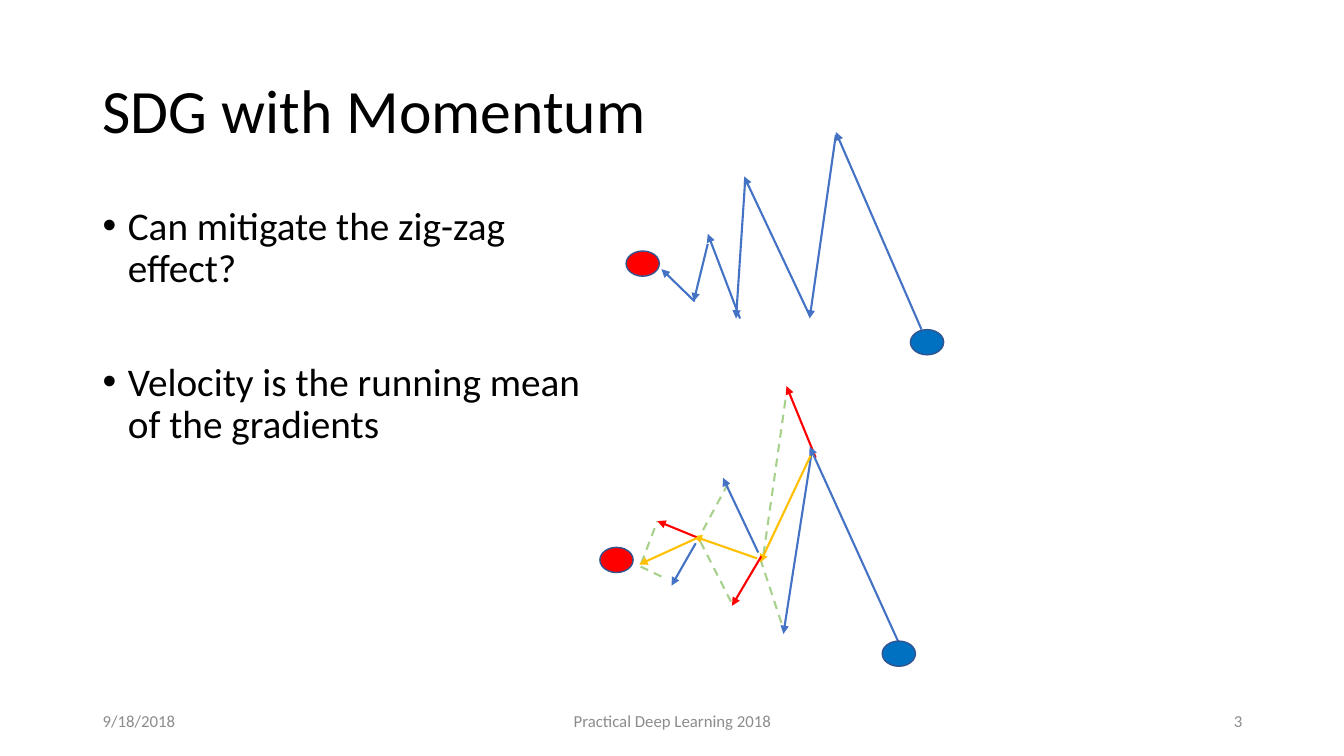
from lxml.etree import SubElement
from pptx import Presentation
from pptx.dml.color import RGBColor
from pptx.enum.dml import MSO_LINE
from pptx.enum.shapes import MSO_CONNECTOR, MSO_SHAPE
from pptx.enum.text import MSO_ANCHOR, PP_ALIGN
from pptx.oxml.ns import qn
from pptx.util import Inches, Pt

BLACK = RGBColor(0x00, 0x00, 0x00)
GRAY = RGBColor(0x8C, 0x8C, 0x8C)
BLUE = RGBColor(0x44, 0x72, 0xC4)
GREEN = RGBColor(0xA9, 0xD1, 0x8E)
RED = RGBColor(0xFF, 0x00, 0x00)
GOLD = RGBColor(0xFF, 0xC0, 0x00)
START_BLUE = RGBColor(0x00, 0x70, 0xC0)
OUTLINE = RGBColor(0x32, 0x54, 0x91)

TITLE = {"size": Pt(44), "name": "Calibri"}
BODY = {"size": Pt(28), "name": "Calibri"}
FOOTER = {"size": Pt(12), "name": "Calibri"}


class MomentumSlide:
    def __init__(self, deck):
        self.page = deck.slides.add_slide(deck.slide_layouts[6])

    def text(self, place, lines, font, color=BLACK, anchor=MSO_ANCHOR.MIDDLE,
             layout=None, bullet=False, gap=0):
        box = self.page.shapes.add_textbox(*map(Inches, place))
        frame = box.text_frame
        frame.word_wrap = True
        frame.vertical_anchor = anchor
        for index, line in enumerate(lines):
            para = frame.add_paragraph() if index else frame.paragraphs[0]
            if bullet:
                self.bullet(para)
            for key, value in (layout or {}).items():
                setattr(para, key, value)
            if index:
                para.space_before = Pt(gap)
            span = para.add_run()
            span.text = line
            for key, value in font.items():
                setattr(span.font, key, value)
            span.font.color.rgb = color

    def bullet(self, para):
        properties = para._p.get_or_add_pPr()
        properties.set("marL", str(Inches(0.25)))
        properties.set("indent", str(-Inches(0.25)))
        SubElement(properties, qn("a:buFont"), typeface="Arial")
        SubElement(properties, qn("a:buChar"), char="•")

    def line(self, start, end, color, dashed=False):
        """Draw a dashed guide, or a solid line with an arrowhead at its end."""
        line = self.page.shapes.add_connector(
            MSO_CONNECTOR.STRAIGHT, *map(Inches, start + end))
        line.line.color.rgb = color
        line.line.width = Pt(1.5)
        properties = line._element.spPr
        if dashed:
            line.line.dash_style = MSO_LINE.DASH
        else:
            SubElement(properties.find(qn("a:ln")), qn("a:tailEnd"), type="triangle")
        SubElement(properties, qn("a:effectLst"))

    def ball(self, left, top, color):
        ball = self.page.shapes.add_shape(
            MSO_SHAPE.OVAL, *map(Inches, (left, top, 0.33, 0.25)))
        ball.shadow.inherit = False
        ball.fill.solid()
        ball.fill.fore_color.rgb = color
        ball.line.color.rgb = OUTLINE
        ball.line.width = Pt(1)


# Steps of plain gradient descent
ZIGZAG_STEPS = [
    ((8.29, 1.34), (8.03, 3.16)),
    ((8.03, 3.13), (7.38, 1.75)),
    ((7.39, 1.8), (7.3, 3.16)),
    ((7.34, 3.16), (7.02, 2.32)),
    ((7.02, 2.42), (6.88, 2.99)),
    ((6.89, 2.99), (6.56, 2.67)),
    ((9.14, 3.27), (8.29, 1.31)),
]

# Dashed sides of the vector sums
GUIDES = [
    ((6.56, 5.72), (6.31, 5.6)),
    ((6.36, 5.59), (6.52, 5.17)),
    ((7.25, 5.97), (6.92, 5.32)),
    ((7.22, 4.8), (6.94, 5.32)),
    ((7.75, 6.18), (7.52, 5.48)),
    ((7.79, 3.97), (7.57, 5.52)),
]

# Gradients are blue, velocities red and the resulting steps gold
MOMENTUM_STEPS = [
    ((8.05, 4.49), (7.77, 6.29), BLUE),
    ((8.09, 4.54), (7.8, 3.83), RED),
    ((8.04, 4.52), (7.54, 5.58), GOLD),
    ((7.55, 5.52), (7.26, 6.01), RED),
    ((7.51, 5.54), (6.88, 5.32), GOLD),
    ((7.52, 5.48), (7.17, 4.74), BLUE),
    ((6.9, 5.39), (6.66, 5.81), BLUE),
    ((6.91, 5.33), (6.52, 5.17), RED),
    ((6.93, 5.33), (6.34, 5.6), GOLD),
    ((8.92, 6.39), (8.03, 4.43), BLUE),
]


def main():
    deck = Presentation()
    deck.slide_width, deck.slide_height = Inches(13.33), Inches(7.5)
    slide = MomentumSlide(deck)

    # Title and bullets
    slide.text((0.92, 0.4, 11.5, 1.45), ["SDG with Momentum"], TITLE,
               layout={"line_spacing": 0.9})
    slide.text((0.92, 2, 5.11, 4.76),
               ["Can mitigate the zig-zag effect?",
                "Velocity is the running mean of the gradients"],
               BODY, anchor=MSO_ANCHOR.TOP, layout={"line_spacing": 0.9},
               bullet=True, gap=51)

    # Footer
    for left, width, words, align in (
            (0.92, 3, "9/18/2018", PP_ALIGN.LEFT),
            (4.42, 4.5, "Practical Deep Learning 2018", PP_ALIGN.CENTER),
            (9.42, 3, "3", PP_ALIGN.RIGHT)):
        slide.text((left, 6.95, width, 0.4), [words], FOOTER, GRAY,
                   layout={"alignment": align})

    # Upper diagram: zig-zag descent
    for start, end in ZIGZAG_STEPS:
        slide.line(start, end, BLUE)

    # Lower diagram: descent with momentum
    for start, end in GUIDES:
        slide.line(start, end, GREEN, dashed=True)
    for start, end, color in MOMENTUM_STEPS:
        slide.line(start, end, color)

    # Start and goal of both descents
    for left, top, color in ((6.21, 2.49, RED), (5.95, 5.43, RED),
                             (9.03, 3.27, START_BLUE), (8.75, 6.36, START_BLUE)):
        slide.ball(left, top, color)

    deck.save("out.pptx")


if __name__ == "__main__":
    main()
